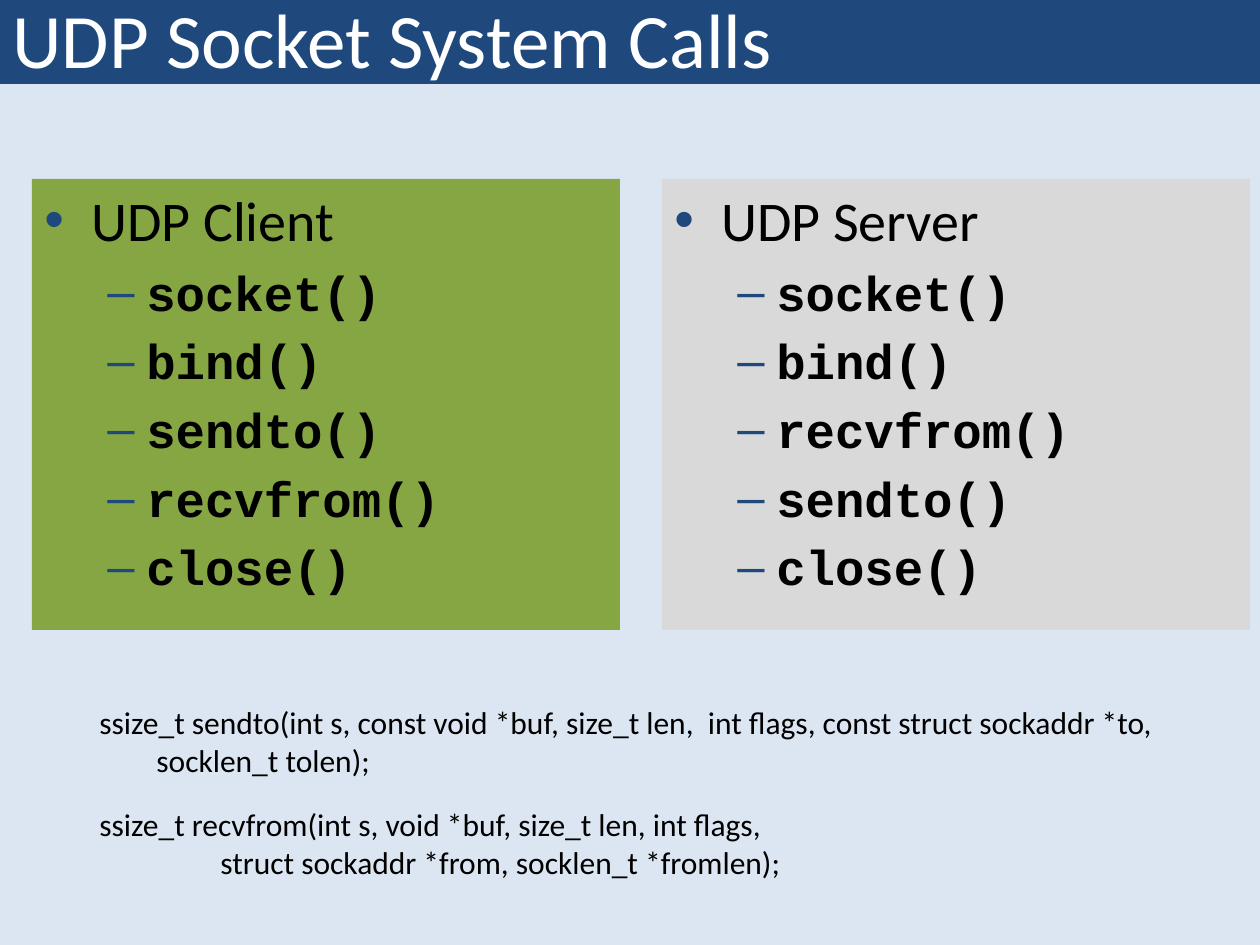
from lxml.etree import SubElement
from pptx import Presentation
from pptx.dml.color import RGBColor
from pptx.enum.shapes import MSO_SHAPE
from pptx.enum.text import MSO_ANCHOR, PP_ALIGN
from pptx.oxml.ns import qn
from pptx.util import Emu, Pt

PX = 914400 // 126
NAVY, BLACK, WHITE, PALE = "1F497D", "000000", "FFFFFF", "DCE6F2"

TITLE = "UDP Socket System Calls"
PANELS = [
    ("UDP Client", "86A644",
     ["socket()", "bind()", "sendto()", "recvfrom()", "close()"]),
    ("UDP Server", "D9D9D9",
     ["socket()", "bind()", "recvfrom()", "sendto()", "close()"]),
]
# Each signature: top, width, lines as (text, left margin, first-line indent)
SIGNATURES = [
    (697, 1124, [("ssize_t sendto(int s, const void *buf, size_t len,  int flags, "
                  "const struct sockaddr *to, socklen_t tolen);", 57, -57)]),
    (799, 1109, [("ssize_t recvfrom(int s, void *buf, size_t len, int flags,", 0, 0),
                 ("struct sockaddr *from, socklen_t *fromlen);", 121, 0)]),
]
PANEL_X, PANEL_Y, PANEL_W, PANEL_H, PANEL_STEP = 32, 179, 588, 451, 630


def px(n):
    return Emu(n * PX)


def rgb(value):
    return RGBColor.from_string(value)


def add_box(s, x, y, w, h, fill):
    sp = s.shapes.add_shape(MSO_SHAPE.RECTANGLE, px(x), px(y), px(w), px(h))
    sp.shadow.inherit = False
    sp.fill.solid()
    sp.fill.fore_color.rgb = rgb(fill)
    sp.line.fill.background()
    sp.text_frame.word_wrap = True
    return sp.text_frame


def write(p, text, size, color=BLACK, font="Calibri", bold=False, margin=0, indent=0):
    p.text = text
    p.alignment = PP_ALIGN.LEFT
    f = p.runs[0].font
    f.name, f.size, f.bold = font, Pt(size), bold
    f.color.rgb = rgb(color)
    pPr = p._p.get_or_add_pPr()
    pPr.set("marL", str(px(margin)))
    pPr.set("indent", str(px(indent)))


def add_bullet(p, char, size):
    p.space_before = Pt(size * 0.2)
    pPr = p._p.get_or_add_pPr()
    SubElement(SubElement(pPr, qn("a:buClr")), qn("a:srgbClr"), val=NAVY)
    SubElement(pPr, qn("a:buFont"), typeface="Arial")
    SubElement(pPr, qn("a:buChar"), char=char)


prs = Presentation()
prs.slide_width, prs.slide_height = px(1260), px(945)
s = prs.slides.add_slide(prs.slide_layouts[6])
s.background.fill.solid()
s.background.fill.fore_color.rgb = rgb(PALE)

# Title bar
tf = add_box(s, 0, 0, 1260, 84, NAVY)
tf.margin_top = tf.margin_bottom = 0
tf.vertical_anchor = MSO_ANCHOR.BOTTOM
write(tf.paragraphs[0], TITLE, 44, WHITE)

# Client and server panels
for i, (heading, fill, calls) in enumerate(PANELS):
    tf = add_box(s, PANEL_X + i * PANEL_STEP, PANEL_Y, PANEL_W, PANEL_H, fill)
    tf.vertical_anchor = MSO_ANCHOR.TOP
    p = tf.paragraphs[0]
    write(p, heading, 32, margin=47, indent=-47)
    add_bullet(p, "•", 32)
    for call in calls:
        p = tf.add_paragraph()
        p.level = 1
        write(p, call, 28, font="Courier New", bold=True, margin=102, indent=-39)
        add_bullet(p, "–", 28)

# Function signatures
for top, width, lines in SIGNATURES:
    tf = s.shapes.add_textbox(px(87), px(top), px(width), px(89)).text_frame
    tf.word_wrap = True
    for i, (text, margin, indent) in enumerate(lines):
        p = tf.add_paragraph() if i else tf.paragraphs[0]
        write(p, text, 18, margin=margin, indent=indent)

prs.save("out.pptx")
